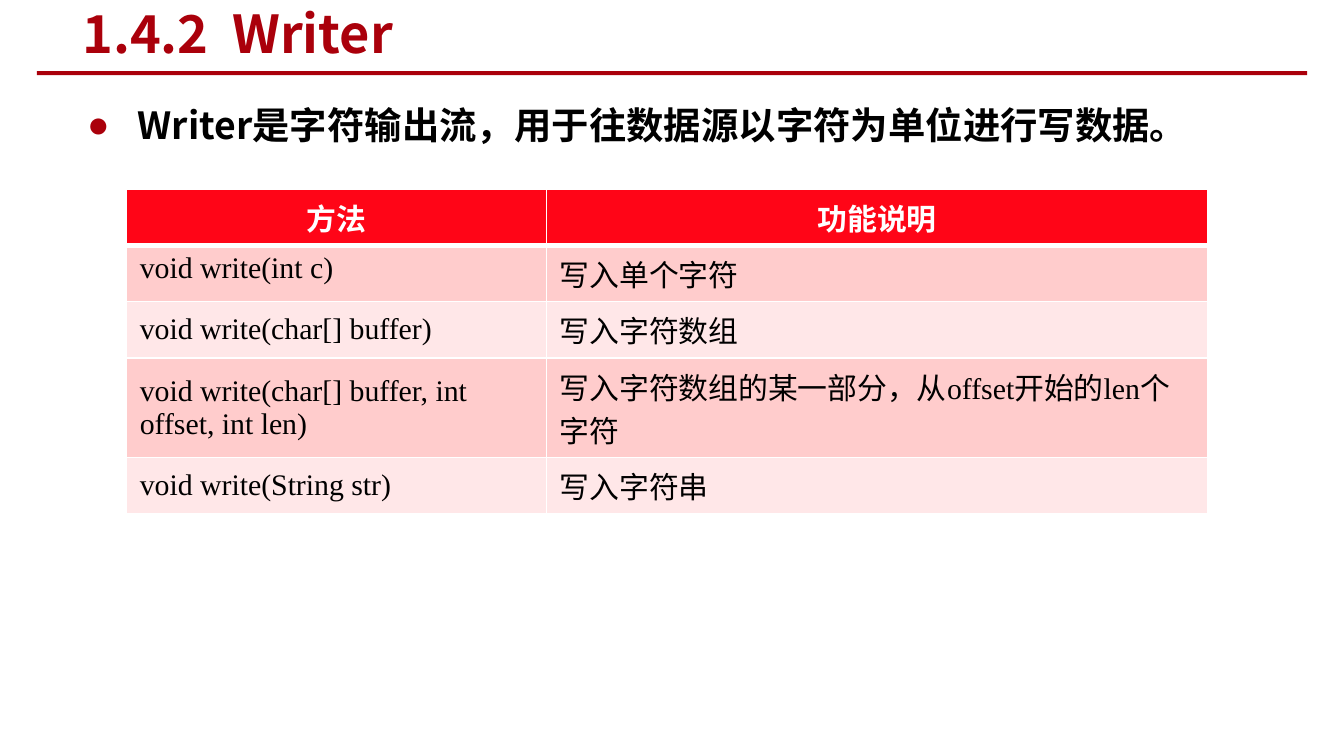
from pptx import Presentation
from pptx.dml.color import RGBColor
from pptx.enum.shapes import MSO_SHAPE
from pptx.enum.text import MSO_ANCHOR, PP_ALIGN
from pptx.oxml import parse_xml
from pptx.oxml.ns import nsdecls
from pptx.util import Inches, Pt

SANS, SERIF = "Noto Sans CJK SC", "Times New Roman"
DARK_RED, RED, PINK, PALE = "AA000B", "FF0517", "FFCCCC", "FFE7E8"
WHITE, BLACK = "FFFFFF", "000000"


def rgb(color):
    """Turn a hex string into a colour."""
    return RGBColor.from_string(color)


def xml(tag, attrs="", inner=""):
    """Build one DrawingML element."""
    return parse_xml(f'<a:{tag} {nsdecls("a")} {attrs}>{inner}</a:{tag}>')


def write(tf, text, size=16, font=SERIF, color=BLACK, bold=False,
          align=PP_ALIGN.LEFT):
    """Put formatted text in the first paragraph and return it."""
    tf.word_wrap = True
    p = tf.paragraphs[0]
    p.alignment = align
    r = p.add_run()
    r.text = text
    r.font.size, r.font.name, r.font.bold = Pt(size), font, bold
    r.font.color.rgb = rgb(color)
    r.font._element.append(xml("ea", f'typeface="{SANS}"'))
    return p


class Deck:
    """Hold the style and the current slide on a grid of 100 columns."""

    def __init__(self, width=10):
        """Open a blank 16:9 slide."""
        self.prs = Presentation()
        self.prs.slide_width = Inches(width)
        self.prs.slide_height = Inches(width * 9 / 16)
        self.unit = width / 100
        self.s = self.prs.slides.add_slide(self.prs.slide_layouts[6])

    def grid(self, *cells):
        """Convert grid cells to lengths."""
        return [Inches(c * self.unit) for c in cells]

    def bar(self, *box):
        """Draw the rule under the title."""
        sp = self.s.shapes.add_shape(MSO_SHAPE.RECTANGLE, *self.grid(*box))
        sp.shadow.inherit = False
        sp.fill.solid()
        sp.fill.fore_color.rgb = rgb(DARK_RED)
        sp.line.fill.background()

    def text(self, text, *box, anchor=MSO_ANCHOR.TOP, **style):
        """Add a text box and return its paragraph."""
        tf = self.s.shapes.add_textbox(*self.grid(*box)).text_frame
        tf.vertical_anchor = anchor
        return write(tf, text, font=SANS, bold=True, **style)

    def bullet(self, text, *box, indent=3.75, **style):
        """Add a text box with a round bullet."""
        p = self.text(text, *box, **style)
        p.line_spacing = 1.5
        pPr = p._p.get_or_add_pPr()
        hang = self.grid(indent)[0]
        pPr.set("marL", str(hang))
        pPr.set("indent", str(-hang))
        pPr.append(xml("spcBef", inner='<a:spcPct val="20000"/>'))
        pPr.append(xml("buClr", inner=f'<a:srgbClr val="{DARK_RED}"/>'))
        pPr.append(xml("buFont", f'typeface="{SERIF}"'))
        pPr.append(xml("buChar", 'char="●"'))

    def cell(self, cell, text, fill, anchor, bottom=1, top=1, **style):
        """Fill, border and write one table cell."""
        tcPr = cell._tc.get_or_add_tcPr()
        line = f'<a:solidFill><a:srgbClr val="{WHITE}"/></a:solidFill>'
        for side, width in zip("LRTB", (1, 1, top, bottom)):
            tcPr.append(xml(f"ln{side}", f'w="{Pt(width)}"', line))
        cell.fill.solid()
        cell.fill.fore_color.rgb = rgb(fill)
        cell.vertical_anchor = anchor
        write(cell.text_frame, text, **style)

    def table(self, rows, left, top, widths, heights):
        """Add a table with a red header and banded rows."""
        box = self.grid(left, top, sum(widths), sum(heights))
        tbl = self.s.shapes.add_table(len(rows), len(widths), *box).table
        tbl.first_row = tbl.horz_banding = False
        for col, width in zip(tbl.columns, self.grid(*widths)):
            col.width = width
        for row, height in zip(tbl.rows, self.grid(*heights)):
            row.height = height
        for i, row in enumerate(rows):
            for j, text in enumerate(row):
                if i == 0:
                    self.cell(tbl.cell(i, j), text, RED, MSO_ANCHOR.TOP, bottom=3,
                              color=WHITE, bold=True, align=PP_ALIGN.CENTER)
                else:
                    middle = j == 0 and i > 1
                    self.cell(tbl.cell(i, j), text, PINK if i % 2 else PALE,
                              MSO_ANCHOR.MIDDLE if middle else MSO_ANCHOR.TOP,
                              top=3 if i == 1 else 1)


def main():
    """Build the Writer slide."""
    deck = Deck()
    deck.bar(2.75, 5.3, 94.5, 0.3)
    deck.bullet("Writer是字符输出流，用于往数据源以字符为单位进行写数据。",
                5.5, 5.45, 89.8, 10.2, size=20)
    deck.text("1.4.2  Writer", 5.15, 0.2, 61.4, 4.5, size=28, color=DARK_RED,
              anchor=MSO_ANCHOR.MIDDLE)
    deck.table([
        ("方法", "功能说明"),
        ("void write(int c)", "写入单个字符"),
        ("void write(char[] buffer)", "写入字符数组"),
        ("void write(char[] buffer, int offset, int len)",
         "写入字符数组的某一部分，从offset开始的len个字符"),
        ("void write(String str)", "写入字符串"),
    ], 9.4, 14.1, (31.25, 49.25), (4.15, 4.2, 4.2, 7.4, 4.2))
    deck.prs.save("out.pptx")


if __name__ == "__main__":
    main()
